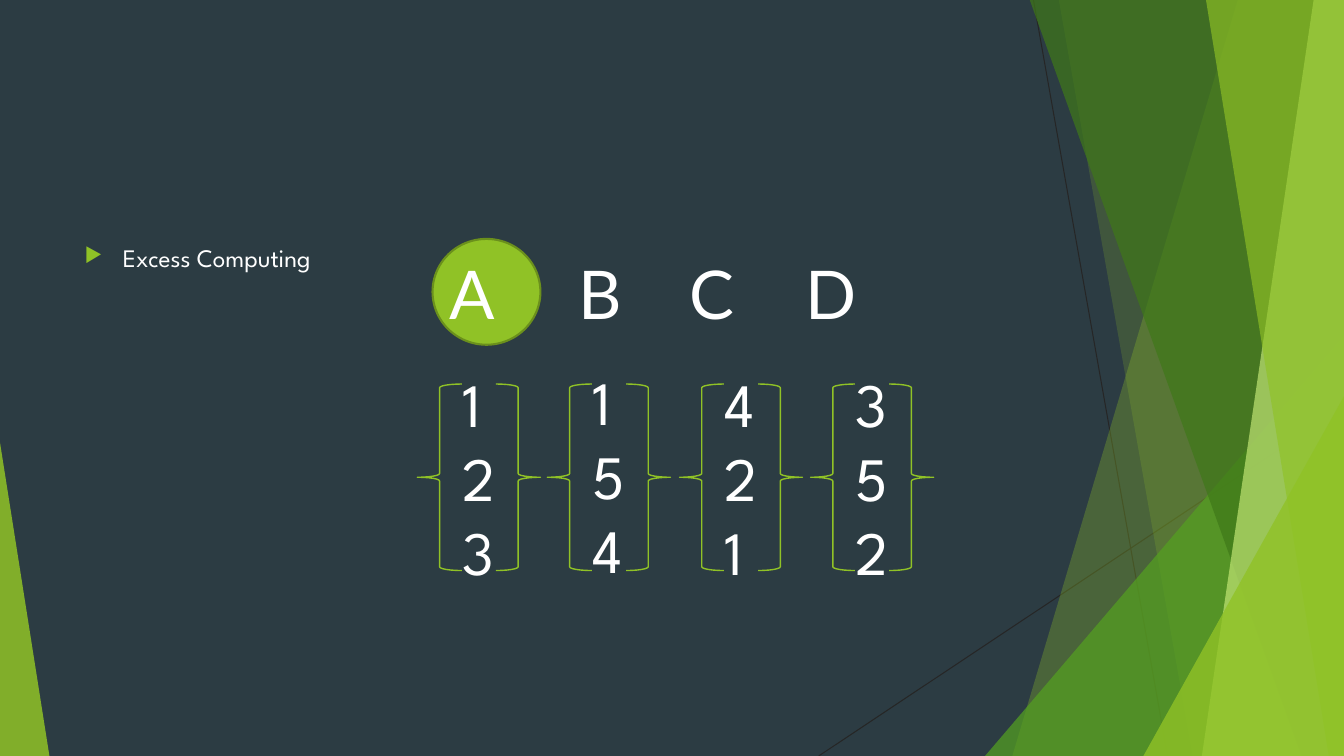
from lxml import etree
from pptx import Presentation, util as u
from pptx.dml.color import RGBColor
from pptx.enum import shapes, text
from pptx.oxml.ns import qn

PX = 9144
WIDTH, HEIGHT = 1333, 750
GREEN, WHITE = "90C226", "FFFFFF"
SHAPE = shapes.MSO_SHAPE


def px(n):
    return u.Emu(n * PX)


def color(fmt, value):
    fmt.rgb = RGBColor.from_string(value)


def add(parent, tag, **attrs):
    return etree.SubElement(parent, qn("a:" + tag), attrs)


def style(sp, fill=None, alpha=None, line=None, weight=1):
    sp.shadow.inherit = False
    if fill:
        sp.fill.solid()
        color(sp.fill.fore_color, fill)
        if alpha:
            srgb = sp.fill._xPr.find(".//" + qn("a:srgbClr"))
            add(srgb, "alpha", val=str(alpha * 1000))
    else:
        sp.fill.background()
    if line:
        color(sp.line.color, line)
        sp.line.width = u.Pt(weight)
    else:
        sp.line.fill.background()


def add_preset(s, kind, x, y, w, h, **look):
    sp = s.shapes.add_shape(kind, px(x), px(y), px(w), px(h))
    style(sp, **look)
    return sp


def add_triangle(s, x, y, w, apex, fill, alpha):
    sp = add_preset(s, SHAPE.ISOSCELES_TRIANGLE, x, y, w, HEIGHT - y,
                    fill=fill, alpha=alpha)
    sp.adjustments[0] = apex


def add_band(s, top_x, bottom_x, fill, alpha):
    fb = s.shapes.build_freeform(top_x, -1, scale=PX)
    fb.add_line_segments([(WIDTH, -1), (WIDTH, HEIGHT), (bottom_x, HEIGHT)])
    style(fb.convert_to_shape(), fill, alpha)


def add_line(s, x1, y1, x2, y2):
    c = s.shapes.add_connector(shapes.MSO_CONNECTOR.STRAIGHT,
                               px(x1), px(y1), px(x2), px(y2))
    color(c.line.color, "262626")
    c.line.width = u.Pt(0.75)
    add(c._element.spPr, "effectLst")


def add_text(s, x, y, w, h, content, size, font):
    tf = s.shapes.add_textbox(px(x), px(y), px(w), px(h)).text_frame
    tf.word_wrap = True
    tf.vertical_anchor = text.MSO_ANCHOR.TOP
    tf.text = content
    for p in tf.paragraphs:
        for r in p.runs:
            r.font.size = u.Pt(size)
            r.font.name = font
            color(r.font.color, WHITE)
    return tf.paragraphs[0]


def add_bullet(p, indent):
    pPr = p._p.get_or_add_pPr()
    pPr.set("marL", str(px(indent)))
    pPr.set("indent", str(px(-indent)))
    add(add(pPr, "buClr"), "srgbClr", val=GREEN)
    add(pPr, "buSzPct", val="80000")
    add(pPr, "buChar", char="▶")


def add_tabs(p, stops):
    tabs = add(p._p.get_or_add_pPr(), "tabLst")
    for stop in stops:
        add(tabs, "tab", pos=str(px(stop)), algn="l")


def add_backdrop(s):
    add_line(s, 1025, 0, 1158, HEIGHT)
    add_line(s, WIDTH, 403, 812, HEIGHT)
    add_band(s, 1228, 1004, GREEN, 30)
    add_band(s, 1050, 1183, GREEN, 20)
    add_triangle(s, 977, 333, 356, 1, "54A021", 72)
    add_band(s, 1021, 1291, "3F7819", 70)
    add_band(s, 1303, 1192, "C0E474", 70)
    add_band(s, 1196, 1318, GREEN, 65)
    add_triangle(s, 1134, 393, 199, 1, GREEN, 80)
    add_triangle(s, 0, 439, 49, 0, GREEN, 85)


def add_ranking(s, x, y, digits):
    for brace_x, flip in ((x, False), (x + 78, True)):
        sp = add_preset(s, SHAPE.LEFT_BRACE, brace_x, 381, 44, 185, line=GREEN)
        if flip:
            sp._element.spPr.find(qn("a:xfrm")).set("flipH", "1")
    add_text(s, x + 35, y, 104, 232, "\n".join(digits), 44, "League Spartan")


def main():
    prs = Presentation()
    prs.slide_width, prs.slide_height = px(WIDTH), px(HEIGHT)
    s = prs.slides.add_slide(prs.slide_layouts[6])
    s.background.fill.solid()
    color(s.background.fill.fore_color, "2C3C43")
    add_backdrop(s)

    topic = add_text(s, 74, 236, 940, 424, "Excess Computing", 18, "League Spartan")
    add_bullet(topic, 38)

    add_preset(s, SHAPE.OVAL, 429, 237, 107, 105,
               fill=GREEN, line="6B901C", weight=1.5)
    header = add_text(s, 423, 245, 488, 91, "\tA\tB\tC\tD", 48, "Lato")
    add_tabs(header, (13, 141, 251, 366))

    for x, y, digits in ((414, 358, "123"), (543, 356, "154"),
                         (674, 358, "421"), (804, 358, "352")):
        add_ranking(s, x, y, digits)
    prs.save("out.pptx")


if __name__ == "__main__":
    main()
